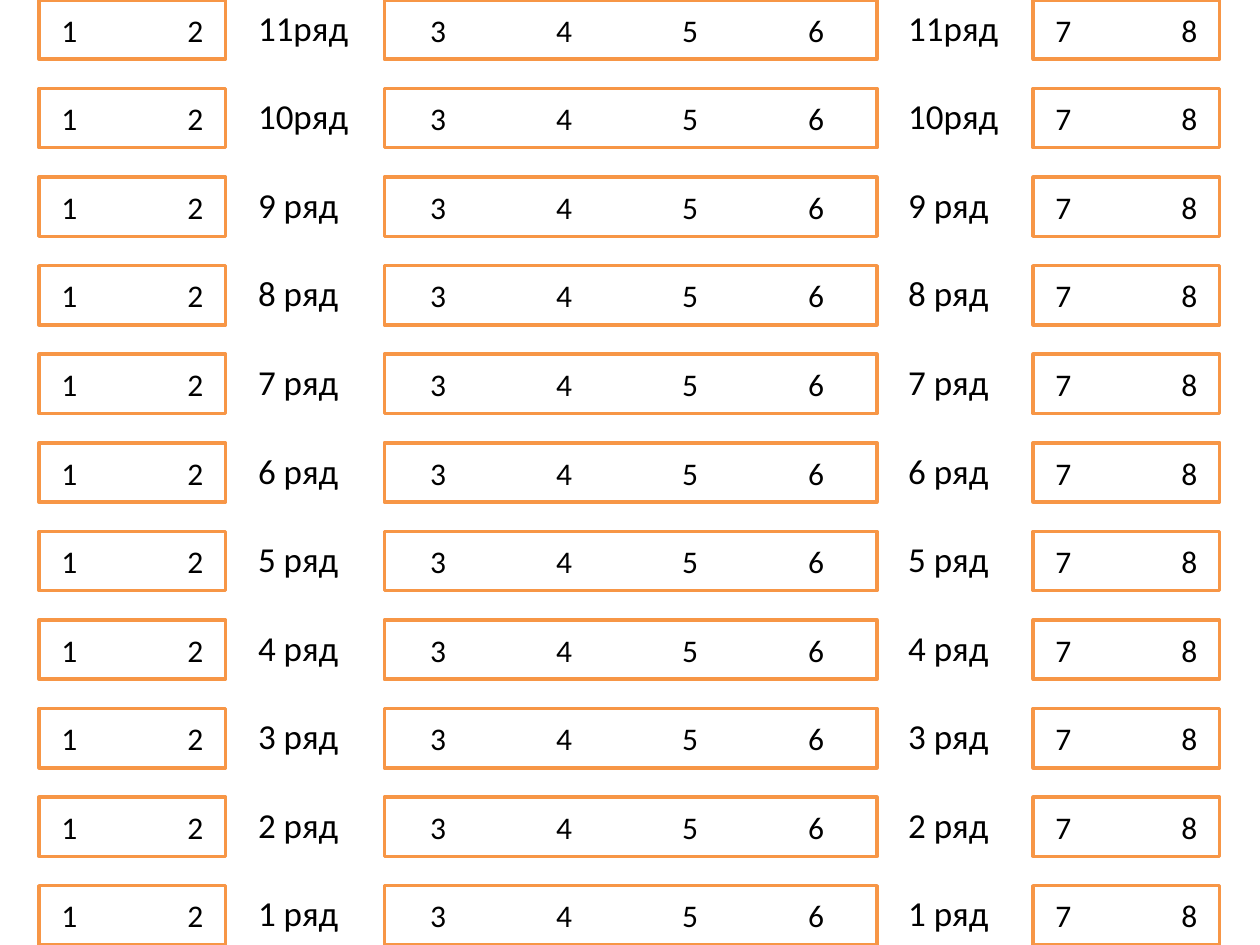
from pptx import Presentation
from pptx.dml.color import RGBColor
from pptx.enum.shapes import MSO_SHAPE
from pptx.enum.text import MSO_ANCHOR, MSO_AUTO_SIZE, PP_ALIGN
from pptx.util import Inches, Pt

SLIDE_WIDTH, SLIDE_HEIGHT = 10, 7.5
ROW_COUNT = 11
SEAT_HEIGHT, LABEL_HEIGHT = 0.47, 0.44
SEAT_PITCH = 1
ROW_PITCH = (SLIDE_HEIGHT - SEAT_HEIGHT) / (ROW_COUNT - 1)

# (left, width, seat numbers)
SEAT_BLOCKS = [
    (0.31, 1.48, "1\t2"),
    (3.05, 3.91, "3 \t4 \t5\t6 "),
    (8.2, 1.48, "7\t8"),
]
AISLE_LEFTS = [1.95, 7.11]
AISLE_WIDTH = 0.94


def color(value):
    return RGBColor.from_string(value)


def write(frame, text, size):
    frame.text = text
    font = frame.paragraphs[0].runs[0].font
    font.name = "Calibri"
    font.size = Pt(size)
    font.color.rgb = color("000000")


def add_seats(slide, left, top, width, numbers):
    seats = slide.shapes.add_shape(
        MSO_SHAPE.RECTANGLE, Inches(left), Inches(top), Inches(width), Inches(SEAT_HEIGHT))
    seats.shadow.inherit = False
    seats.fill.solid()
    seats.fill.fore_color.rgb = color("FFFFFF")
    seats.line.color.rgb = color("F79646")
    seats.line.width = Pt(2)
    write(seats.text_frame, numbers, 18)
    seats.text_frame.vertical_anchor = MSO_ANCHOR.MIDDLE
    line = seats.text_frame.paragraphs[0]
    line.alignment = PP_ALIGN.CENTER
    line._p.get_or_add_pPr().set("defTabSz", str(Inches(SEAT_PITCH)))


def add_row_label(slide, left, top, text):
    label = slide.shapes.add_textbox(
        Inches(left), Inches(top), Inches(AISLE_WIDTH), Inches(LABEL_HEIGHT))
    write(label.text_frame, text, 20)
    label.text_frame.word_wrap = True
    label.text_frame.auto_size = MSO_AUTO_SIZE.SHAPE_TO_FIT_TEXT


def main():
    deck = Presentation()
    deck.slide_width, deck.slide_height = Inches(SLIDE_WIDTH), Inches(SLIDE_HEIGHT)
    slide = deck.slides.add_slide(deck.slide_layouts[6])

    for row in range(1, ROW_COUNT + 1):
        top = (ROW_COUNT - row) * ROW_PITCH
        for left, width, numbers in SEAT_BLOCKS:
            add_seats(slide, left, top, width, numbers)
        for left in AISLE_LEFTS:
            add_row_label(slide, left, top, f"{row:<2}ряд")

    deck.save("out.pptx")


if __name__ == "__main__":
    main()
